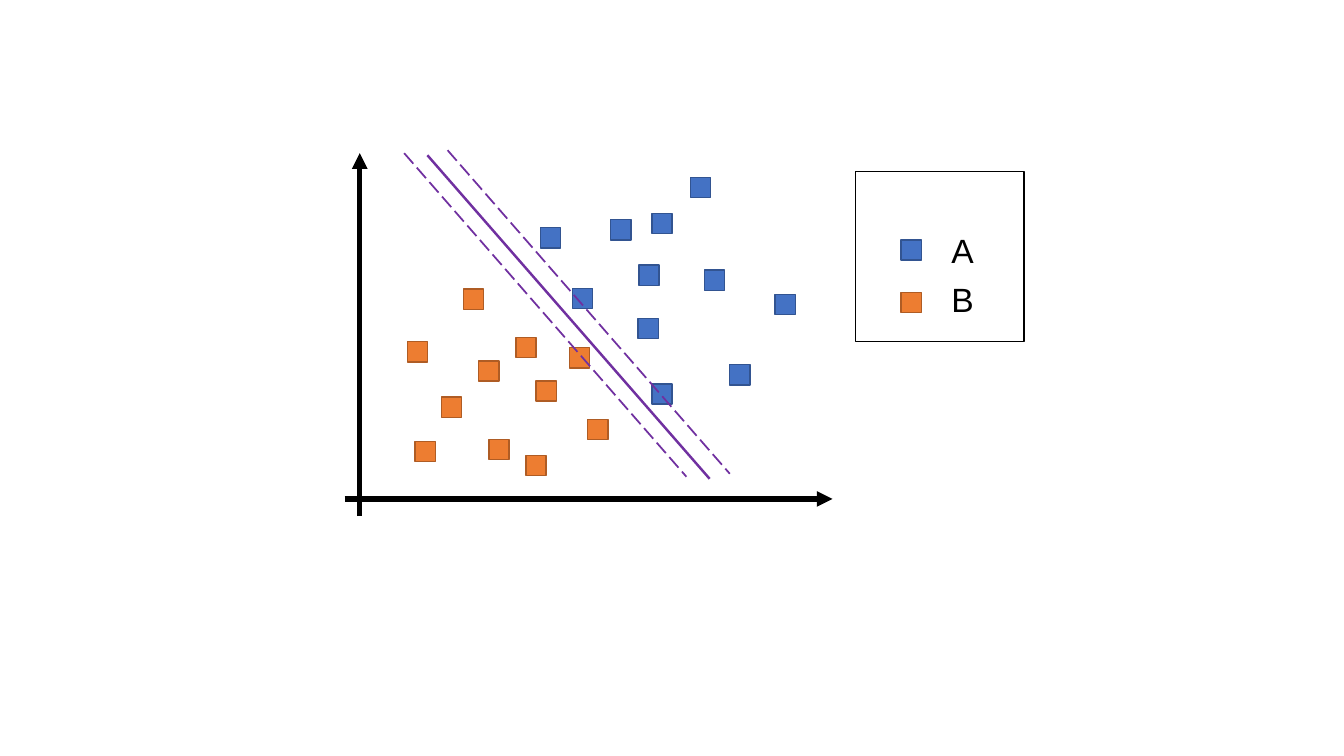
from lxml import etree
from pptx import Presentation
from pptx.dml.color import RGBColor
from pptx.enum import dml, shapes, text
from pptx.oxml import ns
from pptx.util import Pt

BLACK = RGBColor(0x00, 0x00, 0x00)
BLUE = RGBColor(0x44, 0x72, 0xC4)
NAVY = RGBColor(0x32, 0x54, 0x91)
ORANGE = RGBColor(0xED, 0x7D, 0x31)
BROWN = RGBColor(0xAF, 0x5C, 0x24)
PURPLE = RGBColor(0x70, 0x30, 0xA0)

SIDE = 14.4
RUN, DROP = 201.6, 231.1  # extent of the boundary and its margins

# Class name: fill, outline, legend mark top, label top, data points
GROUPS = {
    "A": (BLUE, NAVY, 171.4, 160.6, [
        (493.2, 126.7), (436.3, 157), (465.8, 274.3), (409, 205.9),
        (455.8, 227.5), (456.5, 189.4), (521.3, 260.6), (553.7, 210.2),
        (503.3, 193), (385.9, 162.7), (465.8, 152.6)]),
    "B": (ORANGE, BROWN, 208.8, 195.8, [
        (342, 257.8), (315.4, 283.7), (349.2, 313.9), (331.2, 206.6),
        (375.8, 325.4), (383, 272.2), (368.6, 241.2), (419.8, 299.5),
        (296.6, 315.4), (406.8, 248.4), (290.9, 244.1)]),
}


def add_box(slide, x, y, w, h, line, fill=None):
    box = slide.shapes.add_shape(
        shapes.MSO_SHAPE.RECTANGLE, Pt(x), Pt(y), Pt(w), Pt(h))
    box.shadow.inherit = False
    if fill is None:
        box.fill.background()
    else:
        box.fill.solid()
        box.fill.fore_color.rgb = fill
    box.line.color.rgb = line
    box.line.width = Pt(1)


def add_line(slide, x1, y1, x2, y2, color, width, dash=None, arrow=False):
    line = slide.shapes.add_connector(
        shapes.MSO_CONNECTOR.STRAIGHT, Pt(x1), Pt(y1), Pt(x2), Pt(y2))
    line.line.color.rgb = color
    line.line.width = Pt(width)
    if dash:
        line.line.dash_style = dash
    props = line._element.spPr
    if arrow:
        etree.SubElement(props.find(ns.qn("a:ln")), ns.qn("a:tailEnd"),
                         type="triangle")
    etree.SubElement(props, ns.qn("a:effectLst"))


def add_label(slide, x, y, words):
    box = slide.shapes.add_textbox(Pt(x), Pt(y), Pt(31), Pt(36))
    frame = box.text_frame
    frame.word_wrap = False
    frame.auto_size = text.MSO_AUTO_SIZE.SHAPE_TO_FIT_TEXT
    para = frame.paragraphs[0]
    para.text = words
    para.font.name = "Arial"
    para.font.size = Pt(24)
    para.font.color.rgb = BLACK


def main():
    deck = Presentation()
    deck.slide_width, deck.slide_height = Pt(960), Pt(540)
    slide = deck.slides.add_slide(deck.slide_layouts[6])

    # Axes
    add_line(slide, 246.2, 356.4, 594.7, 356.4, BLACK, 3.75, arrow=True)
    add_line(slide, 257, 368.6, 257, 109.4, BLACK, 3.75, arrow=True)

    # Legend frame
    add_box(slide, 611.3, 122.4, 120.2, 121.7, BLACK)

    # Data points and legend entries
    for name, (fill, edge, key, top, points) in GROUPS.items():
        for x, y in points + [(643.7, key)]:
            add_box(slide, x, y, SIDE, SIDE, edge, fill)
        add_label(slide, 672.5, top, name)

    # Boundary and margins
    dash = dml.MSO_LINE.LONG_DASH
    for x, y, width, style in [(305.3, 110.9, 1.75, None),
                               (319.7, 107.3, 1.25, dash),
                               (288.7, 109.4, 1.25, dash)]:
        add_line(slide, x, y, x + RUN, y + DROP, PURPLE, width, style)

    deck.save("out.pptx")


if __name__ == "__main__":
    main()
